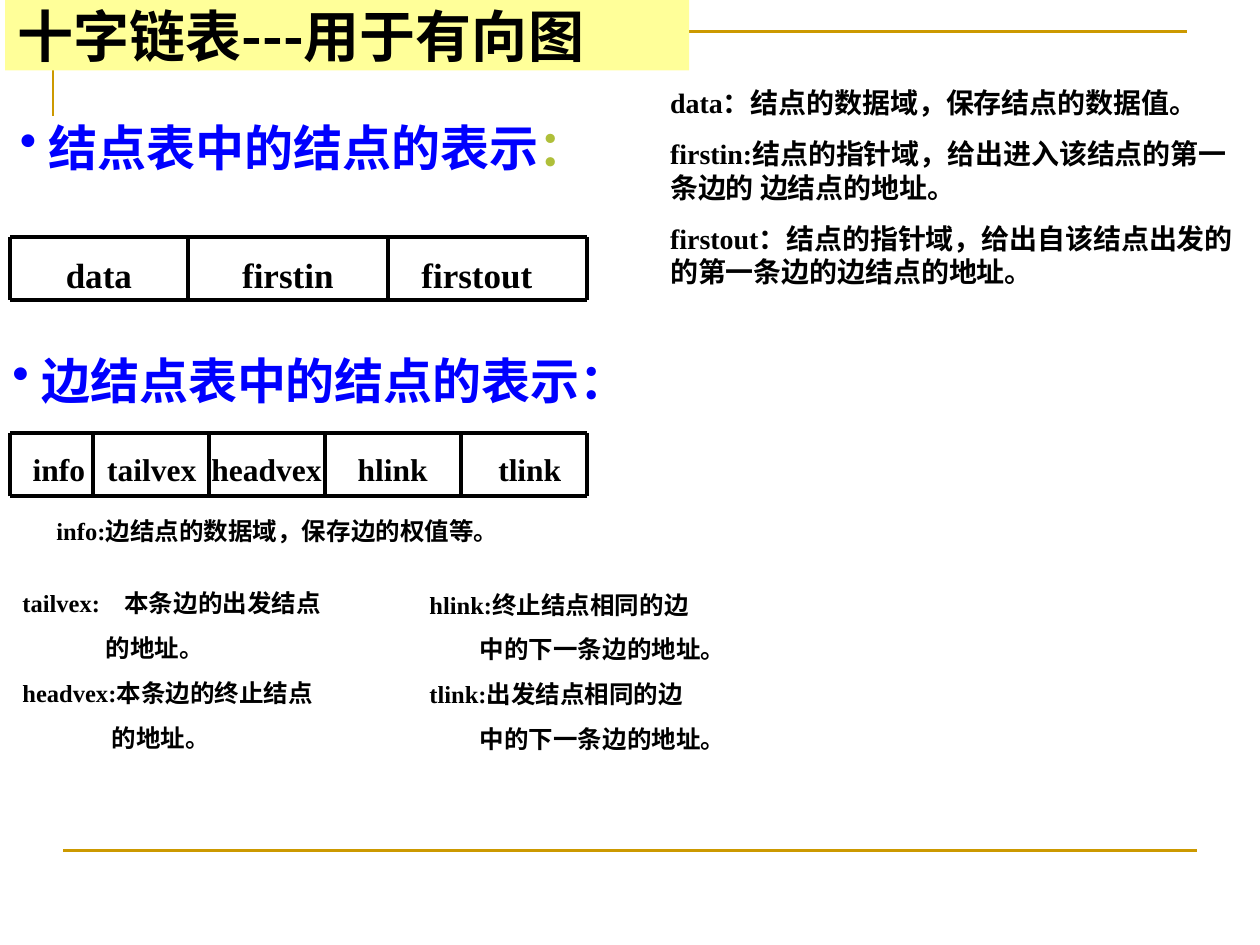
from lxml.etree import SubElement
from pptx import Presentation
from pptx.dml.color import RGBColor
from pptx.enum.shapes import MSO_CONNECTOR, MSO_SHAPE
from pptx.enum.text import MSO_ANCHOR, MSO_AUTO_SIZE, PP_ALIGN
from pptx.oxml.ns import qn
from pptx.util import Inches, Pt

LATIN, CHINESE = "Times New Roman", "Noto Sans CJK SC"
BLACK, BLUE, GOLD, GREEN, YELLOW = "000000", "0000FF", "CC9900", "AFBF39", "FFFF99"
LABEL_WIDTH = 1.25


def paint(color_format, color):
    color_format.rgb = RGBColor.from_string(color)


def style_span(span, size, color=BLACK, latin=LATIN):
    span.font.size = Pt(size)
    span.font.bold = True
    span.font.name = latin
    paint(span.font.color, color)
    SubElement(span._r.get_or_add_rPr(), qn("a:ea"), typeface=CHINESE)


def add_line(page, x1, y1, x2, y2, color=BLACK, width=2.25):
    line = page.shapes.add_connector(
        MSO_CONNECTOR.STRAIGHT, Inches(x1), Inches(y1), Inches(x2), Inches(y2))
    line.line.width = Pt(width)
    paint(line.line.color, color)
    SubElement(line._element.spPr, qn("a:effectLst"))


def set_indent(para, left, first=0):
    properties = para._p.get_or_add_pPr()
    properties.set("marL", str(Inches(left)))
    properties.set("indent", str(Inches(first)))
    return properties


def add_text(page, left, top, width, height, lines, size,
             space=0, align=PP_ALIGN.LEFT, indents=None, tab=None):
    """Add one paragraph per line; indents maps a line number to its left margin."""
    box = page.shapes.add_textbox(Inches(left), Inches(top), Inches(width), Inches(height))
    frame = box.text_frame
    frame.word_wrap = True
    frame.auto_size = MSO_AUTO_SIZE.SHAPE_TO_FIT_TEXT
    frame.text = "\n".join(lines)
    for number, para in enumerate(frame.paragraphs):
        if indents and number in indents:
            set_indent(para, indents[number])
        if tab and "\t" in lines[number]:
            stops = SubElement(para._p.get_or_add_pPr(), qn("a:tabLst"))
            SubElement(stops, qn("a:tab"), pos=str(Inches(tab)), algn="l")
        para.alignment = align
        if number:
            para.space_before = Pt(space)
        for span in para.runs:
            style_span(span, size)
    return box


def add_background(page):
    outline = page.shapes.build_freeform(Inches(0.42), Inches(0.92))
    outline.add_line_segments(
        [(Inches(0.42), Inches(0.25)), (Inches(9.42), Inches(0.25))], close=False)
    corner = outline.convert_to_shape()
    corner.shadow.inherit = False
    corner.fill.background()
    corner.line.width = Pt(1.5)
    paint(corner.line.color, GOLD)
    add_line(page, 0.5, 6.75, 9.5, 6.75, GOLD, 1.5)


def add_title(page, left, top, width, height):
    title = page.shapes.add_shape(
        MSO_SHAPE.RECTANGLE, Inches(left), Inches(top), Inches(width), Inches(height))
    title.shadow.inherit = False
    title.fill.solid()
    paint(title.fill.fore_color, YELLOW)
    title.line.fill.background()
    frame = title.text_frame
    frame.vertical_anchor = MSO_ANCHOR.MIDDLE
    frame.text = "十字链表---用于有向图"
    para = frame.paragraphs[0]
    para.alignment = PP_ALIGN.LEFT
    style_span(para.runs[0], 32, latin=CHINESE)


def add_heading(page, left, top, width, text, colon_color):
    box = add_text(page, left, top, width, 0.57, [text], 28)
    para = box.text_frame.paragraphs[0]
    properties = set_indent(para, 0.23, -0.23)
    bullet_color = SubElement(properties, qn("a:buClr"))
    SubElement(bullet_color, qn("a:srgbClr"), val=BLUE)
    SubElement(properties, qn("a:buChar"), char="•")
    paint(para.runs[0].font.color, BLUE)
    colon = para.add_run()
    colon.text = "："
    style_span(colon, 28, colon_color)


def add_node(page, top, height, edges, labels, size, label_height):
    """Draw a row of fields split at the edges; labels are (text, left, align)."""
    bottom = top + height
    for y in (top, bottom):
        add_line(page, edges[0], y, edges[-1], y)
    for x in edges:
        add_line(page, x, bottom, x, top)
    for text, left, align in labels:
        add_text(page, left, top + 0.08, LABEL_WIDTH, label_height, [text], size, align=align)


def add_vertex_section(page):
    center = PP_ALIGN.CENTER
    add_heading(page, 0.06, 0.88, 5, "结点表中的结点的表示", GREEN)
    add_node(page, 1.88, 0.5, [0.08, 1.49, 3.08, 4.66],
             [("data", 0.16, center), ("firstin", 1.66, center), ("firstout", 3.16, center)],
             20, 0.44)
    add_text(page, 5.22, 0.63, 4.78, 2.12, [
        "data：结点的数据域，保存结点的数据值。",
        "firstin:结点的指针域，给出进入该结点的第一条边的 边结点的地址。",
        "firstout：结点的指针域，给出自该结点出发的的第一条边的边结点的地址。",
    ], 16, space=10)


def add_edge_section(page):
    center = PP_ALIGN.CENTER
    add_heading(page, 0, 2.73, 5.8, "边结点表中的结点的表示", BLUE)
    add_node(page, 3.44, 0.5, [0.08, 0.74, 1.66, 2.58, 3.66, 4.66],
             [("info", 0.16, PP_ALIGN.LEFT), ("tailvex", 0.58, center),
              ("headvex", 1.49, center), ("hlink", 2.49, center), ("tlink", 3.58, center)],
             18, 0.4)
    add_text(page, 0.35, 4.05, 3.74, 0.57, ["info:边结点的数据域，保存边的权值等。"], 14)
    add_text(page, 0.08, 4.62, 3.23, 1.4, [
        "tailvex:\t本条边的出发结点",
        "的地址。",
        "headvex:本条边的终止结点",
        "的地址。",
    ], 14, space=8.8, indents={1: 0.66, 3: 0.71}, tab=0.81)
    add_text(page, 3.31, 4.63, 2.83, 1.87, [
        "hlink:终止结点相同的边",
        "中的下一条边的地址。",
        "tlink:出发结点相同的边",
        "中的下一条边的地址。",
    ], 14, space=8.8, indents={1: 0.4, 3: 0.4})


def main():
    deck = Presentation()
    deck.slide_width, deck.slide_height = Inches(10), Inches(7.5)
    page = deck.slides.add_slide(deck.slide_layouts[6])
    add_background(page)
    add_vertex_section(page)
    add_edge_section(page)
    add_title(page, 0.04, 0, 5.43, 0.56)
    deck.save("out.pptx")


if __name__ == "__main__":
    main()
